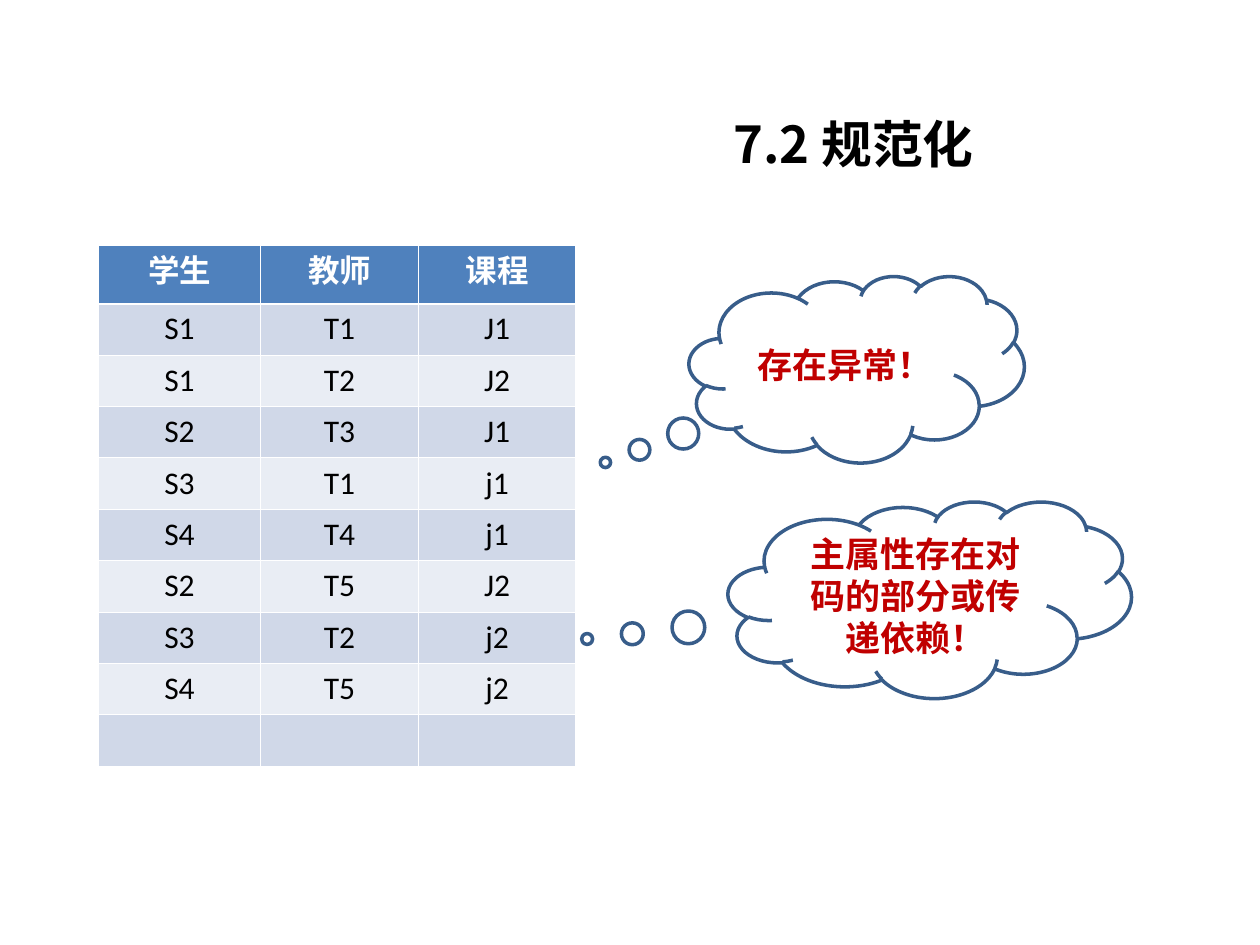
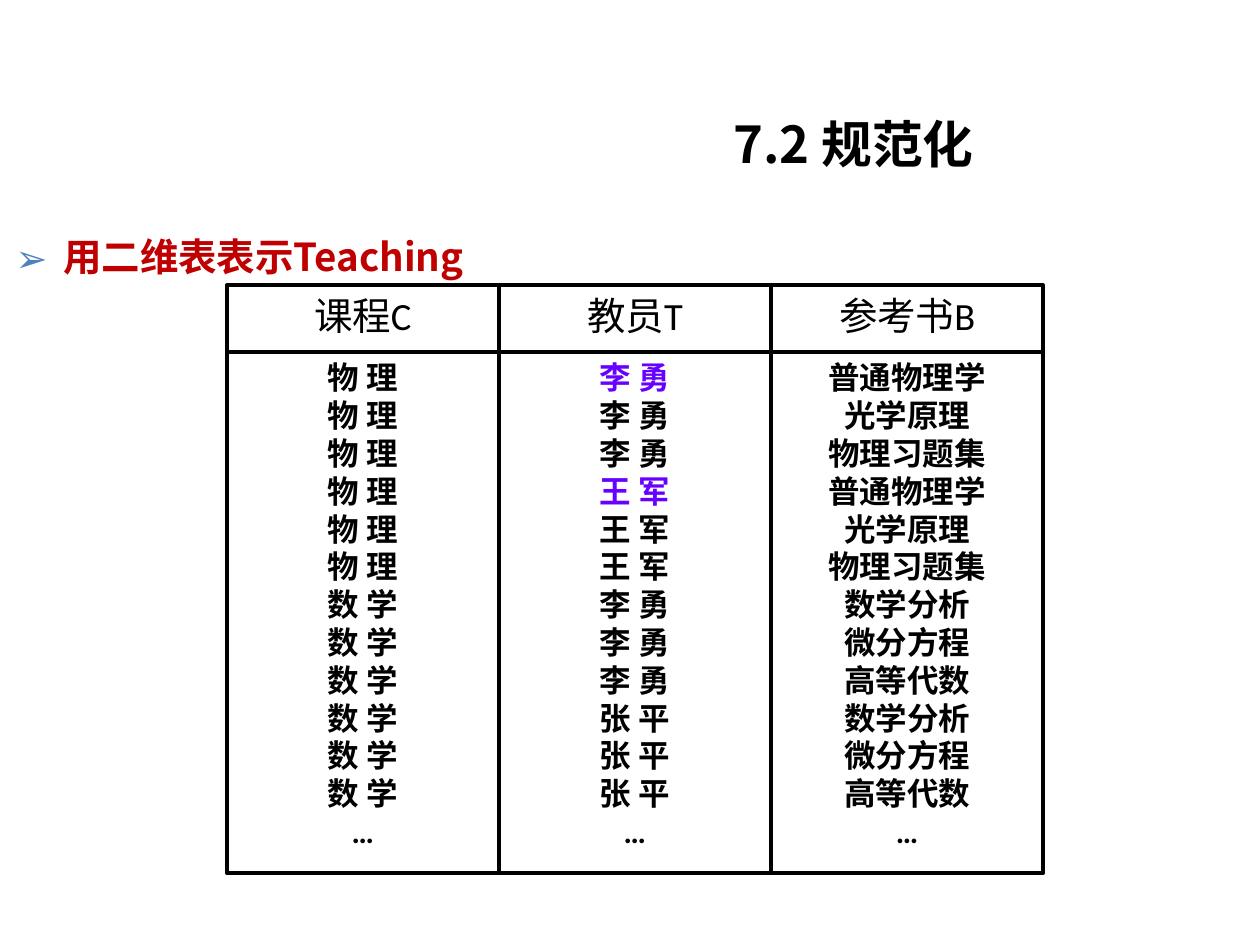
from lxml import etree
from pptx import Presentation
from pptx.dml.color import RGBColor
from pptx.enum.shapes import MSO_CONNECTOR, MSO_SHAPE
from pptx.enum.text import MSO_ANCHOR, MSO_AUTO_SIZE, PP_ALIGN
from pptx.oxml.ns import qn
from pptx.util import Inches, Pt

CENTER = PP_ALIGN.CENTER
TOP, MIDDLE = MSO_ANCHOR.TOP, MSO_ANCHOR.MIDDLE
FIXED, GROW = MSO_AUTO_SIZE.NONE, MSO_AUTO_SIZE.SHAPE_TO_FIT_TEXT
RECTANGLE, CLOUD = MSO_SHAPE.RECTANGLE, MSO_SHAPE.CLOUD_CALLOUT
STRAIGHT = MSO_CONNECTOR.STRAIGHT

BLACK = RGBColor(0x00, 0x00, 0x00)
WHITE = RGBColor(0xFF, 0xFF, 0xFF)
RED = RGBColor(0xC0, 0x00, 0x00)
VIOLET = RGBColor(0x66, 0x00, 0xFF)
BLUE = RGBColor(0x4F, 0x81, 0xBD)
OUTLINE = RGBColor(0x38, 0x5D, 0x8A)
BANDS = (RGBColor(0xD0, 0xD8, 0xE8), RGBColor(0xE9, 0xED, 0xF4))

# The slide is a grid of 100 columns by 75 rows
COLUMNS, ROWS = 100, 75
UNIT = Inches(0.1)
TITLE_BOX = (41.3, 8.2, 52.9, 6.3)

CALIBRI, NOTO = "Calibri", "Noto Sans CJK SC"
TITLE_FORMAT = {"name": NOTO, "size": Pt(29), "bold": True, "color": BLACK}
LEAD_FORMAT = {"name": NOTO, "size": Pt(22), "bold": True, "color": RED}
CLOUD_FORMAT = {"name": CALIBRI, "size": Pt(20), "bold": True, "color": RED}
HEAD_FORMAT = {"name": CALIBRI, "size": Pt(18), "bold": True, "color": WHITE}
CELL_FORMAT = {"name": CALIBRI, "size": Pt(18), "bold": False, "color": BLACK}
COLUMN_HEAD_FORMAT = {"name": CALIBRI, "size": Pt(22), "bold": False, "color": BLACK}
ENTRY_FORMAT = {"name": CALIBRI, "size": Pt(18), "bold": True, "color": BLACK}

ENROLMENT_HEADS = ("学生", "教师", "课程")
ENROLMENTS = ("S1 T1 J1", "S1 T2 J2", "S2 T3 J1", "S3 T1 j1", "S4 T4 j1",
              "S2 T5 J2", "S3 T2 j2", "S4 T5 j2")

PHYSICS_BOOKS = ["普通物理学", "光学原理", "物理习题集"]
MATHS_BOOKS = ["数学分析", "微分方程", "高等代数"]
TEACHING = {
    "课程C": ["物 理"] * 6 + ["数 学"] * 6 + ["…"],
    "教员T": [name for name in ("李 勇", "王 军", "李 勇", "张 平") for _ in range(3)] + ["…"],
    "参考书B": PHYSICS_BOOKS * 2 + MATHS_BOOKS * 2 + ["…"],
}
MARKED = {("教员T", 0), ("教员T", 3)}


def grid(*lengths):
    return [round(length * UNIT) for length in lengths]


def write(para, text, formats):
    """Fill a centred paragraph with one formatted span."""
    para.alignment = CENTER
    span = para.add_run()
    span.text = text
    for key, value in formats.items():
        if key == "color":
            span.font.color.rgb = value
        else:
            setattr(span.font, key, value)
    east_asian = etree.SubElement(span.font._element, qn("a:ea"))
    east_asian.set("typeface", formats["name"])


def fill_placeholder(holder, box, text, formats, frame_formats):
    holder.left, holder.top, holder.width, holder.height = grid(*box)
    for key, value in frame_formats.items():
        setattr(holder.text_frame, key, value)
    para = holder.text_frame.paragraphs[0]
    para.space_before = Pt(0)
    write(para, text, formats)
    return para


def add_page(deck, layout_name):
    """Start a slide with the shared title."""
    page = deck.slides.add_slide(deck.slide_layouts.get_by_name(layout_name))
    fill_placeholder(page.shapes.title, TITLE_BOX, "7.2 规范化", TITLE_FORMAT,
                     {"word_wrap": False, "auto_size": FIXED, "vertical_anchor": MIDDLE})
    return page


def add_outlined(page, kind, box, color, weight):
    shape = page.shapes.add_shape(kind, *grid(*box))
    shape.shadow.inherit = False
    shape.fill.background()
    shape.line.color.rgb = color
    shape.line.width = Pt(weight)
    shape.text_frame.word_wrap = True
    return shape


def set_borders(cell, widths):
    for side, width in widths.items():
        border = etree.SubElement(cell._tc.get_or_add_tcPr(), qn(f"a:ln{side}"), w=str(Pt(width)))
        paint = etree.SubElement(border, qn("a:solidFill"))
        etree.SubElement(paint, qn("a:srgbClr"), val=str(WHITE))


def add_enrolment_table(page, left, top, widths, head_height, row_height):
    rows = [ENROLMENT_HEADS, *(line.split() for line in ENROLMENTS), ("", "", "")]
    heights = [head_height] + [row_height] * (len(rows) - 1)
    box = grid(left, top, sum(widths), sum(heights))
    table = page.shapes.add_table(len(rows), len(widths), *box).table
    table.first_row = table.horz_banding = False
    for column, width in zip(table.columns, grid(*widths)):
        column.width = width
    for row, height in zip(table.rows, grid(*heights)):
        row.height = height
    for index, row in enumerate(rows):
        for position, text in enumerate(row):
            cell = table.cell(index, position)
            set_borders(cell, {"L": 0.45, "R": 0.45,
                               "T": 1.47 if index == 1 else 0.45,
                               "B": 1.47 if index == 0 else 0.45})
            cell.fill.solid()
            cell.fill.fore_color.rgb = BANDS[(index - 1) % 2] if index else BLUE
            if text:
                write(cell.text_frame.paragraphs[0], text, CELL_FORMAT if index else HEAD_FORMAT)


def add_thought(page, box, tail, text):
    cloud = add_outlined(page, CLOUD, box, OUTLINE, 2)
    for index, offset in enumerate(tail):
        cloud.adjustments[index] = offset
    cloud.text_frame.vertical_anchor = MIDDLE
    write(cloud.text_frame.paragraphs[0], text, CLOUD_FORMAT)


def add_rule(page, *ends):
    rule = page.shapes.add_connector(STRAIGHT, *grid(*ends))
    rule.line.color.rgb = BLACK
    rule.line.width = Pt(2.25)
    etree.SubElement(rule._element.spPr, qn("a:effectLst"))


def add_teaching_grid(page, left, top, column_width, head_height, body_height):
    middle, bottom = top + head_height, top + head_height + body_height
    right = left + column_width * len(TEACHING)

    # Heading and entries of each column
    for index, (head, entries) in enumerate(TEACHING.items()):
        x = left + index * column_width
        body = add_outlined(page, RECTANGLE, (x, middle, column_width, body_height), BLACK, 2.25)
        body.text_frame.vertical_anchor = TOP
        for row, entry in enumerate(entries):
            para = body.text_frame.add_paragraph() if row else body.text_frame.paragraphs[0]
            color = VIOLET if (head, row) in MARKED else BLACK
            write(para, entry, {**ENTRY_FORMAT, "color": color})
        heading = add_outlined(page, RECTANGLE, (x, top, column_width, head_height), BLACK, 2.25)
        heading.text_frame.vertical_anchor = TOP
        write(heading.text_frame.paragraphs[0], head, COLUMN_HEAD_FORMAT)

    # Rules along the grid
    for y in (middle, bottom):
        add_rule(page, left, y, right, y)
    for index in range(len(TEACHING) + 1):
        x = left + index * column_width
        add_rule(page, x, top, x, bottom)


def add_lead(page, box):
    para = fill_placeholder(page.placeholders[1], box, "用二维表表示Teaching", LEAD_FORMAT,
                            {"word_wrap": False, "auto_size": GROW, "vertical_anchor": TOP})
    properties = para._p.get_or_add_pPr()
    properties.set("marL", str(Inches(0.38)))
    properties.set("indent", str(-Inches(0.38)))
    bullet_color = etree.SubElement(properties, qn("a:buClr"))
    etree.SubElement(bullet_color, qn("a:srgbClr"), val=str(BLUE))
    etree.SubElement(properties, qn("a:buFont"), typeface=NOTO)
    etree.SubElement(properties, qn("a:buChar"), char="➢")


def build_anomaly_slide(deck):
    page = add_page(deck, "Title Only")
    add_enrolment_table(page, 7.8, 19.5, (12.9, 12.5, 12.5), 4.6, 4.08)
    add_thought(page, (54.7, 21.9, 26.6, 14.8), (-0.75, 0.5), "存在异常！")
    add_thought(page, (57.8, 39.8, 32, 15.6), (-0.85, 0.2), "主属性存在对码的部分或传递依赖！")


def build_teaching_slide(deck):
    page = add_page(deck, "Title and Content")
    add_teaching_grid(page, 18, 22.65, 21.6, 5.3, 41.35)
    add_lead(page, (-0.3, 18, 38.6, 4.7))


def main():
    deck = Presentation()
    deck.slide_width, deck.slide_height = grid(COLUMNS, ROWS)
    build_anomaly_slide(deck)
    build_teaching_slide(deck)
    deck.save("out.pptx")


if __name__ == "__main__":
    main()
